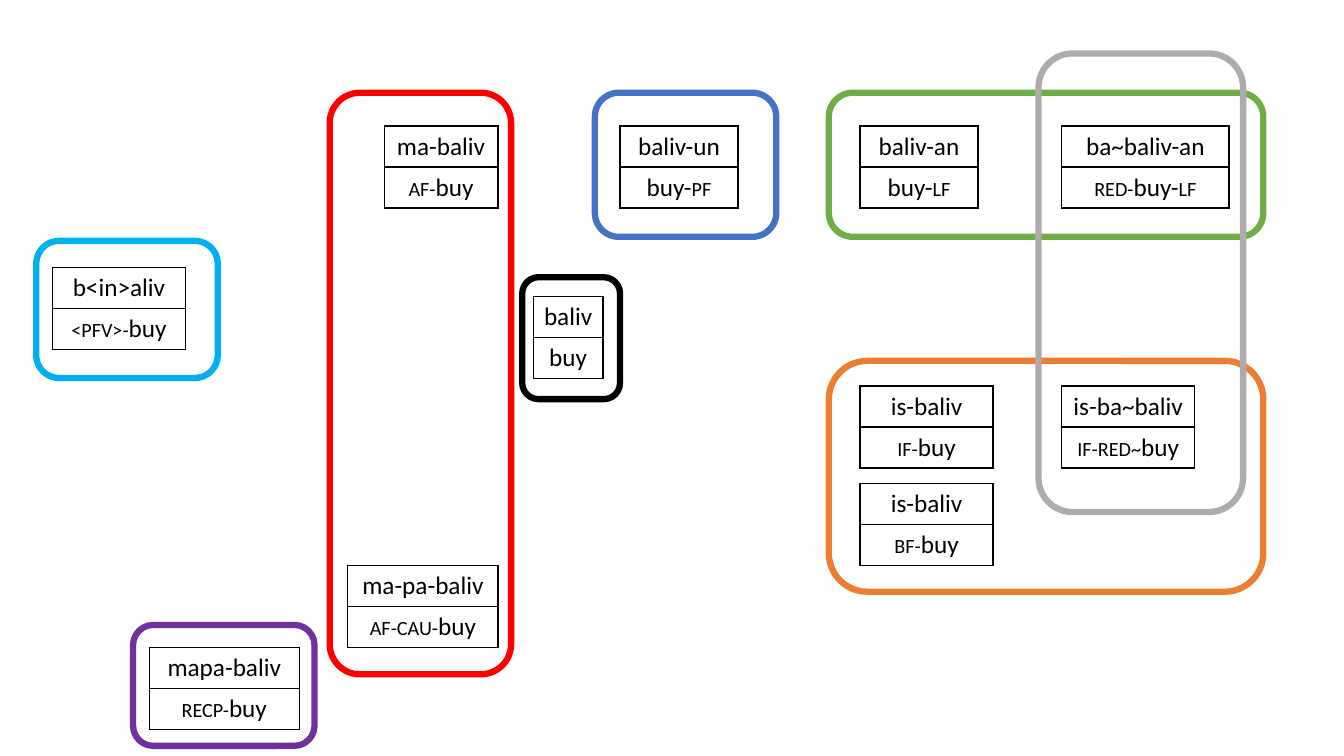
from dataclasses import dataclass

from lxml.etree import SubElement
from pptx import Presentation
from pptx.dml.color import RGBColor
from pptx.enum.shapes import MSO_SHAPE
from pptx.enum.text import PP_ALIGN
from pptx.oxml.ns import qn
from pptx.util import Inches, Pt


@dataclass(frozen=True)
class Theme:
    font: str = "Calibri"
    text_size: float = 18
    text: str = "000000"
    border: str = "000000"
    border_width: float = 1
    frame_width: float = 4.5
    red: str = "FF0000"
    blue: str = "4472C4"
    green: str = "70AD47"
    orange: str = "ED7D31"
    black: str = "000000"
    purple: str = "7030A0"
    sky: str = "00B0F0"
    grey: str = "AFABAB"


THEME = Theme()
ROOT = "buy"
ROW_HEIGHT = 0.407

# Left, top, width, word form, runs of the gloss
WORDS = [
    (5.29, 2.94, 0.69, "baliv", ["buy"]),
    (3.81, 1.25, 1.13, "ma-baliv", ["af-", "buy"]),
    (8.53, 1.25, 1.17, "baliv-an", ["buy-", "lf"]),
    (10.53, 1.25, 1.66, "ba~baliv-an", ["red-", "buy-", "lf"]),
    (0.52, 2.65, 1.32, "b<in>aliv", ["<pfv>-", "buy"]),
    (1.48, 6.42, 1.49, "mapa-baliv", ["recp-", "buy"]),
    (6.15, 1.25, 1.17, "baliv-un", ["buy-", "pf"]),
    (8.53, 3.83, 1.32, "is-baliv", ["if-", "buy"]),
    (8.53, 4.8, 1.32, "is-baliv", ["bf-", "buy"]),
    (10.53, 3.83, 1.32, "is-ba~baliv", ["if-red~", "buy"]),
    (3.45, 5.61, 1.49, "ma-pa-baliv", ["af-cau-", "buy"]),
]

# Left, top, width, height, colour
FRAMES = [
    (3.27, 0.92, 1.8, 5.77, THEME.red),
    (5.9, 0.92, 1.8, 1.43, THEME.blue),
    (8.22, 0.92, 4.31, 1.43, THEME.green),
    (8.22, 3.58, 4.31, 2.29, THEME.orange),
    (5.18, 2.75, 0.97, 1.21, THEME.black),
    (1.32, 6.2, 1.8, 1.2, THEME.purple),
    (0.36, 2.39, 1.8, 1.36, THEME.sky),
    (10.3, 0.53, 2.03, 4.55, THEME.grey),
]


def add_cell_borders(cell):
    properties = cell._tc.get_or_add_tcPr()
    for side in ("a:lnL", "a:lnR", "a:lnT", "a:lnB"):
        line = SubElement(properties, qn(side), w=str(Pt(THEME.border_width)))
        fill = SubElement(line, qn("a:solidFill"))
        SubElement(fill, qn("a:srgbClr"), val=THEME.border)


def fill_cell(cell, texts, is_gloss):
    # Borders come before the fill in the cell's properties
    add_cell_borders(cell)
    cell.fill.background()
    paragraph = cell.text_frame.paragraphs[0]
    paragraph.alignment = PP_ALIGN.CENTER
    for text in texts:
        run = paragraph.add_run()
        run.text = text
        run.font.name = THEME.font
        run.font.size = Pt(THEME.text_size)
        run.font.bold = False
        run.font.color.rgb = RGBColor.from_string(THEME.text)
        # Grammatical labels are set in small capitals
        if is_gloss and not text.startswith(ROOT):
            run._r.get_or_add_rPr().set("cap", "small")


def add_word(slide, left, top, width, form, gloss):
    table = slide.shapes.add_table(
        2, 1, Inches(left), Inches(top), Inches(width), Inches(2 * ROW_HEIGHT)
    ).table
    table.first_row = False
    table.horz_banding = False
    for row in table.rows:
        row.height = Inches(ROW_HEIGHT)
    fill_cell(table.cell(0, 0), [form], is_gloss=False)
    fill_cell(table.cell(1, 0), gloss, is_gloss=True)


def add_frame(slide, left, top, width, height, colour):
    shape = slide.shapes.add_shape(
        MSO_SHAPE.ROUNDED_RECTANGLE,
        Inches(left), Inches(top), Inches(width), Inches(height),
    )
    shape.shadow.inherit = False
    shape.fill.background()
    shape.line.color.rgb = RGBColor.from_string(colour)
    shape.line.width = Pt(THEME.frame_width)


def main():
    presentation = Presentation()
    presentation.slide_width = Inches(13.33)
    presentation.slide_height = Inches(7.5)
    slide = presentation.slides.add_slide(presentation.slide_layouts[6])

    # Word forms with their glosses
    for word in WORDS:
        add_word(slide, *word)

    # Coloured frames grouping the forms
    for frame in FRAMES:
        add_frame(slide, *frame)

    presentation.save("out.pptx")


if __name__ == "__main__":
    main()
